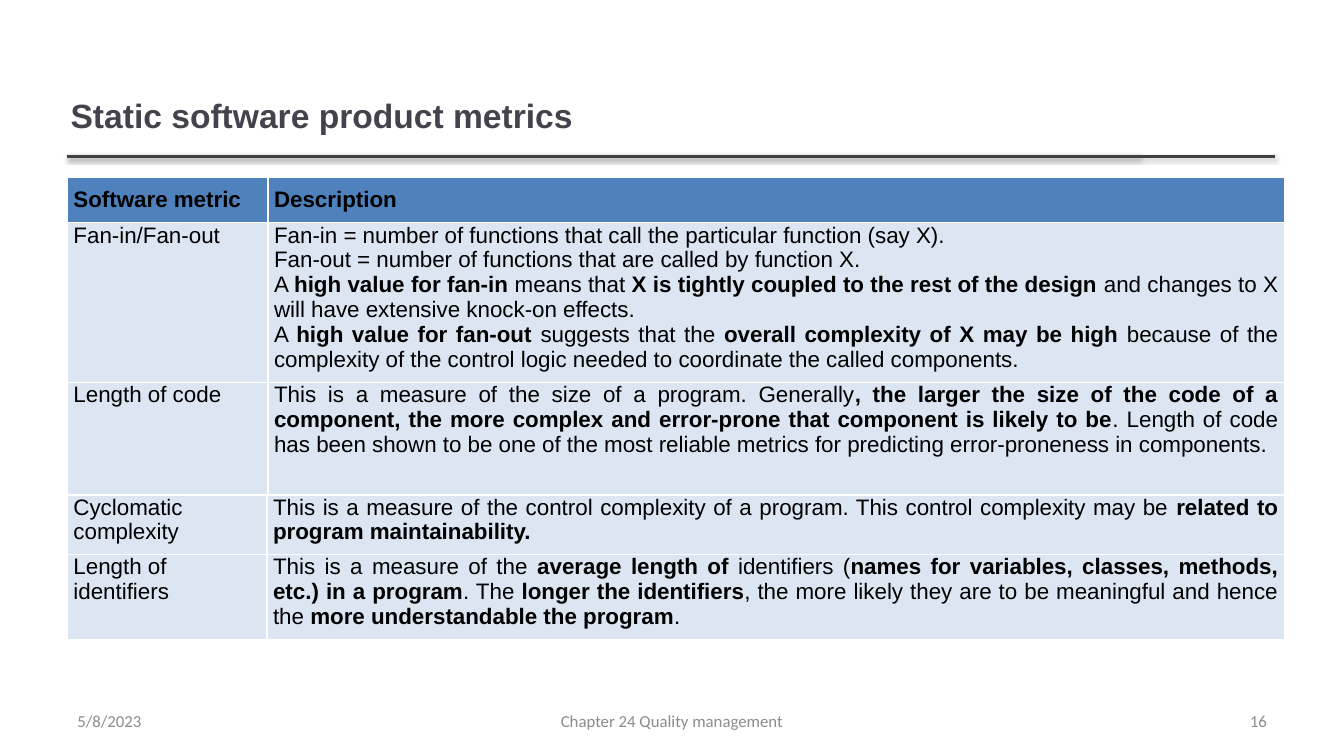
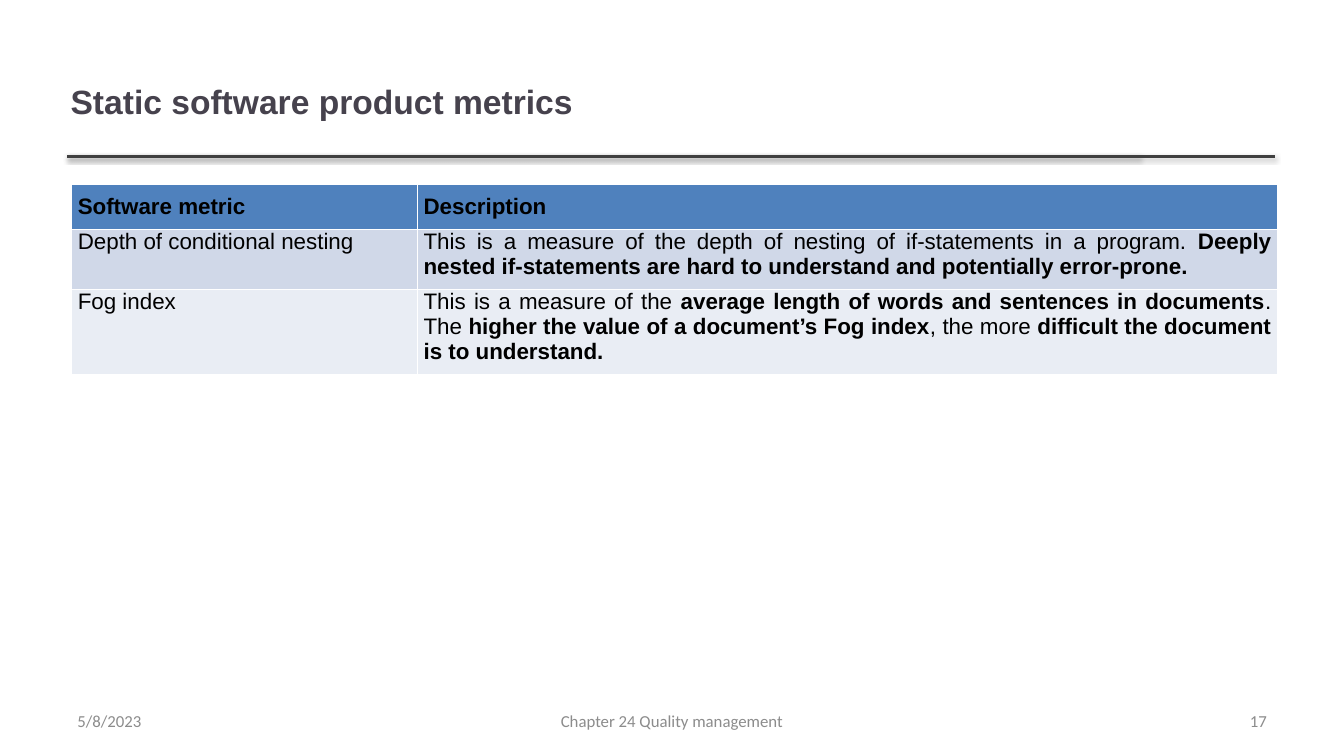
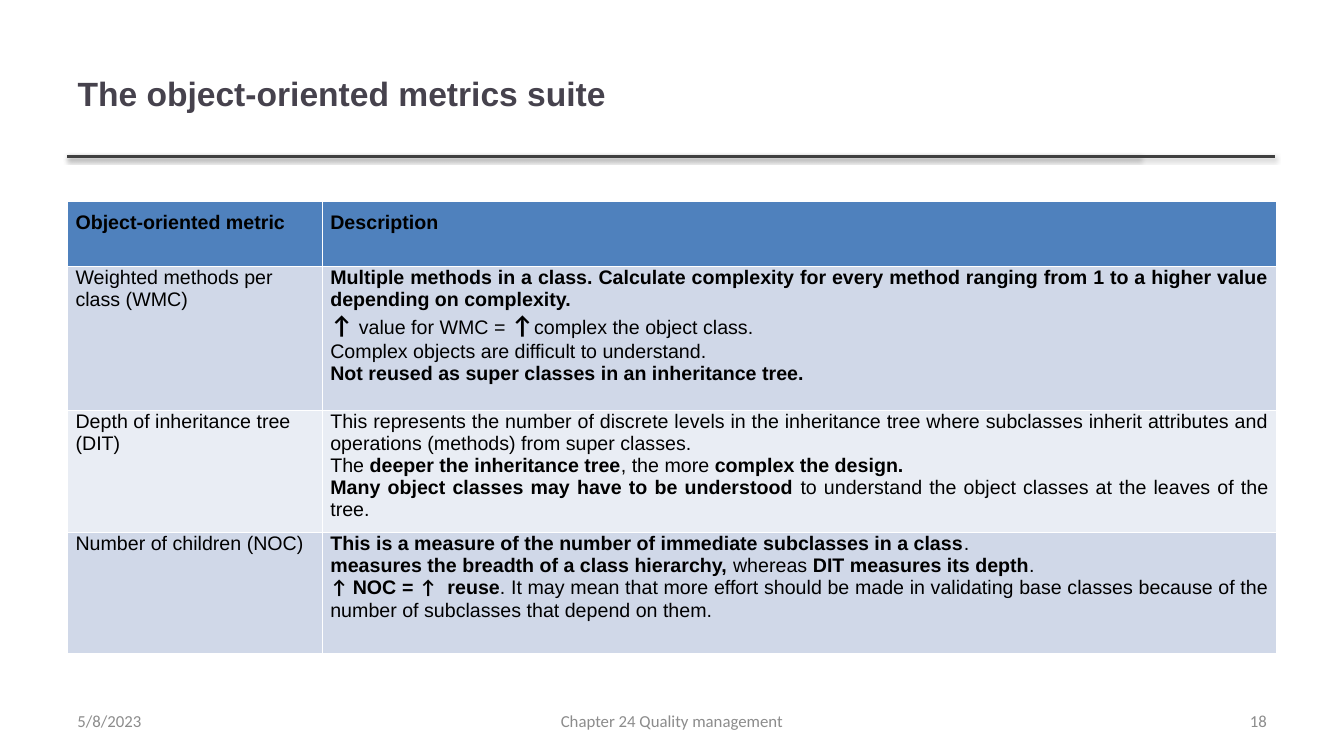
import pptx
import pptx.util
import pptx.dml.color
import pptx.enum.shapes
import pptx.enum.text
import pptx.oxml
import pptx.oxml.ns

Pt = pptx.util.Pt
ALIGN = pptx.enum.text.PP_ALIGN
MIDDLE = pptx.enum.text.MSO_ANCHOR.MIDDLE

COLORS = {
    "title": "46424D",
    "rule": "404040",
    "footer": "8C8C8C",
    "text": "000000",
    "border": "FFFFFF",
    "header": "4F81BD",
    "plain": "DCE6F2",
    "dark_band": "D0D8E8",
    "light_band": "E9EDF4",
}
NAMESPACE = pptx.oxml.ns.nsdecls("a")
SHADOW = (
    f'<a:effectLst {NAMESPACE}><a:outerShdw blurRad="{Pt(3.1)}" dist="{Pt(1.6)}" dir="5400000" rotWithShape="0">'
    '<a:srgbClr val="000000"><a:alpha val="38000"/></a:srgbClr></a:outerShdw></a:effectLst>'
)
BORDERS = [
    f'<a:{side} {NAMESPACE} w="{Pt(1)}"><a:solidFill><a:srgbClr val="{COLORS["border"]}"/></a:solidFill></a:{side}>'
    for side in ("lnL", "lnR", "lnT", "lnB")
]
RULE_Y = 111.6
RULE_LEFT = 48.2
RULE_ENDS = [815, 910.8]
FOOTER_TOP = 500.4
FOOTER_HEIGHT = 28.8
FIRST_NUMBER = 16
ARROW_SIZES = {"Weighted methods per class (WMC)": 18}
BANDS = ["light_band", "dark_band"]
SOFTWARE_HEADER = ("|Software metric", 32.3, ["|Description"])

# A bar in a text switches bold on or off.
SLIDES = [
    {
        "title": "Static software product metrics",
        "title_box": (43.2, 43.2, 570, 77.8),
        "tables": [
            {
                "left": 48.2, "top": 126.9, "widths": [143.3, 725.8],
                "size": 16, "inset": 4.3, "fills": ["plain"],
                "rows": [
                    SOFTWARE_HEADER,
                    ("Fan-in/Fan-out", 113.5, [
                        "Fan-in = number of functions that call the particular function (say X). ",
                        "Fan-out = number of functions that are called by function X.",
                        "A |high value for fan-in |means that |X is tightly coupled to the rest of the design "
                        "|and changes to X will have extensive knock-on effects. ",
                        "A |high value for fan-out |suggests that the |overall complexity of X may be high "
                        "|because of the complexity of the control logic needed to coordinate the called components.",
                    ]),
                    ("Length of code", 90, [
                        "This is a measure of the size of a program. Generally|, the larger the size of the code "
                        "of a component, the more complex and error-prone that component is likely to be|. Length of "
                        "code has been shown to be one of the most reliable metrics for predicting error-proneness "
                        "in components.",
                    ]),
                ],
            },
            {
                "left": 48.2, "top": 353.5, "widths": [142.6, 726.5],
                "size": 16, "inset": 4.3, "fills": ["plain"],
                "rows": [
                    ("Cyclomatic complexity", 42.5, [
                        "This is a measure of the control complexity of a program. This control complexity may be "
                        "|related to program maintainability. ",
                    ]),
                    ("Length of identifiers", 60.8, [
                        "This is a measure of the |average length of |identifiers (|names for variables, classes, "
                        "methods, etc.) in a program|. The |longer the identifiers|, the more likely they are to be "
                        "meaningful and hence the |more understandable the program|.",
                    ]),
                ],
            },
        ],
    },
    {
        "title": "Static software product metrics",
        "title_box": (43.2, 30.2, 570, 84.2),
        "tables": [
            {
                "left": 51.3, "top": 131.6, "widths": [247, 614],
                "size": 16, "inset": 4.3, "fills": BANDS,
                "rows": [
                    SOFTWARE_HEADER,
                    ("Depth of conditional nesting", 42.5, [
                        "This is a measure of the depth of nesting of if-statements in a program. |Deeply nested "
                        "if-statements are hard to understand and potentially error-prone.",
                    ]),
                    ("Fog index", 60.8, [
                        "This is a measure of the |average length of words and sentences in documents|. The |higher "
                        "the value of a document’s Fog index|, the more |difficult the document is to understand.",
                    ]),
                ],
            },
        ],
    },
    {
        "title": "The object-oriented metrics suite",
        "title_box": (48.2, 21.6, 765.4, 90),
        "tables": [
            {
                "left": 48.2, "top": 144.2, "widths": [182, 682],
                "size": 14, "inset": 5.8, "fills": BANDS,
                "rows": [
                    ("|Object-oriented metric", 46, ["|Description"]),
                    ("Weighted methods per class (WMC)", 103, [
                        "|Multiple methods in a class. Calculate complexity for every method ranging from 1 to a "
                        "higher value depending on complexity.",
                        "|↑ |value for WMC = |↑|complex the object class. ",
                        "Complex objects are difficult to understand. ",
                        "|Not reused as super classes in an inheritance tree.",
                    ]),
                    ("Depth of inheritance tree (DIT)", 87, [
                        "This represents the number of discrete levels in the inheritance tree where subclasses "
                        "inherit attributes and operations (methods) from super classes. ",
                        "The |deeper the inheritance tree|, the more |complex the design. ",
                        "|Many object classes may have to be understood |to understand the object classes at the "
                        "leaves of the tree. ",
                    ]),
                    ("Number of children (NOC)", 87, [
                        "|This is a measure of the number of immediate subclasses in a class|.",
                        "|measures the breadth of a class hierarchy, |whereas |DIT measures its depth|. ",
                        "|↑ ||NOC = ||↑ || reuse|. It may mean that more effort should be made in validating base "
                        "classes because of the number of subclasses that depend on them.",
                    ]),
                ],
            },
        ],
    },
]


def format_run(run, size, font, color, bold=False):
    run.font.size = Pt(size)
    run.font.name = font
    run.font.bold = bold
    run.font.color.rgb = pptx.dml.color.RGBColor.from_string(COLORS[color])


def fill_cell(cell, texts, alignment, size, arrow_size):
    for index, text in enumerate(texts):
        paragraph = cell.text_frame.paragraphs[0] if index == 0 else cell.text_frame.add_paragraph()
        paragraph.alignment = alignment
        for position, part in enumerate(text.split("|")):
            if part:
                run = paragraph.add_run()
                run.text = part
                arrow = part.startswith("↑")
                format_run(run, arrow_size if arrow else size, "Calibri" if arrow else "Arial",
                           "text", position % 2 == 1)


presentation = pptx.Presentation()
presentation.slide_width = Pt(960)
presentation.slide_height = Pt(540)

for number, content in enumerate(SLIDES, FIRST_NUMBER):
    slide = presentation.slides.add_slide(presentation.slide_layouts[5])

    for end in RULE_ENDS:
        rule = slide.shapes.add_connector(
            pptx.enum.shapes.MSO_CONNECTOR.STRAIGHT, Pt(RULE_LEFT), Pt(RULE_Y), Pt(end), Pt(RULE_Y))
        rule.line.width = Pt(2)
        rule.line.color.rgb = pptx.dml.color.RGBColor.from_string(COLORS["rule"])
        rule._element.spPr.append(pptx.oxml.parse_xml(SHADOW))

    title = slide.shapes.title
    title.left, title.top, title.width, title.height = [Pt(length) for length in content["title_box"]]
    title.text_frame.text = content["title"]
    title.text_frame.auto_size = pptx.enum.text.MSO_AUTO_SIZE.NONE
    title.text_frame.vertical_anchor = MIDDLE
    title.text_frame.paragraphs[0].alignment = ALIGN.LEFT
    format_run(title.text_frame.paragraphs[0].runs[0], 24, "Arial", "title", True)

    for layout in content["tables"]:
        rows = layout["rows"]
        frame = slide.shapes.add_table(
            len(rows), 2, Pt(layout["left"]), Pt(layout["top"]),
            Pt(sum(layout["widths"])), Pt(sum(row[1] for row in rows)))
        table = frame.table
        table.horz_banding = False
        table.first_row = rows[0][0].startswith("|")
        for column, width in zip(table.columns, layout["widths"]):
            column.width = Pt(width)
        for row_index, (metric, height, description) in enumerate(rows):
            table.rows[row_index].height = Pt(height)
            is_header = metric.startswith("|")
            fill = "header" if is_header else layout["fills"][row_index % len(layout["fills"])]
            arrow_size = ARROW_SIZES.get(metric, layout["size"])
            for column_index, texts in enumerate(([metric], description)):
                cell = table.cell(row_index, column_index)
                cell.margin_left = cell.margin_right = Pt(layout["inset"])
                cell.margin_top = Pt(7.2 if is_header else 0)
                cell.margin_bottom = Pt(7.2)
                properties = cell._tc.get_or_add_tcPr()
                for border in BORDERS:
                    properties.append(pptx.oxml.parse_xml(border))
                cell.fill.solid()
                cell.fill.fore_color.rgb = pptx.dml.color.RGBColor.from_string(COLORS[fill])
                alignment = ALIGN.JUSTIFY if column_index else ALIGN.LEFT
                fill_cell(cell, texts, alignment, layout["size"], arrow_size)

    for text, left, width, alignment in (
        ("5/8/2023", 48.2, 224, ALIGN.LEFT),
        ("Chapter 24 Quality management", 328, 304, ALIGN.CENTER),
        (str(number), 688, 224, ALIGN.RIGHT),
    ):
        footer = slide.shapes.add_textbox(Pt(left), Pt(FOOTER_TOP), Pt(width), Pt(FOOTER_HEIGHT))
        footer.text_frame.word_wrap = True
        footer.text_frame.vertical_anchor = MIDDLE
        footer.text_frame.text = text
        footer.text_frame.paragraphs[0].alignment = alignment
        format_run(footer.text_frame.paragraphs[0].runs[0], 12, "Calibri", "footer")

presentation.save("out.pptx")
